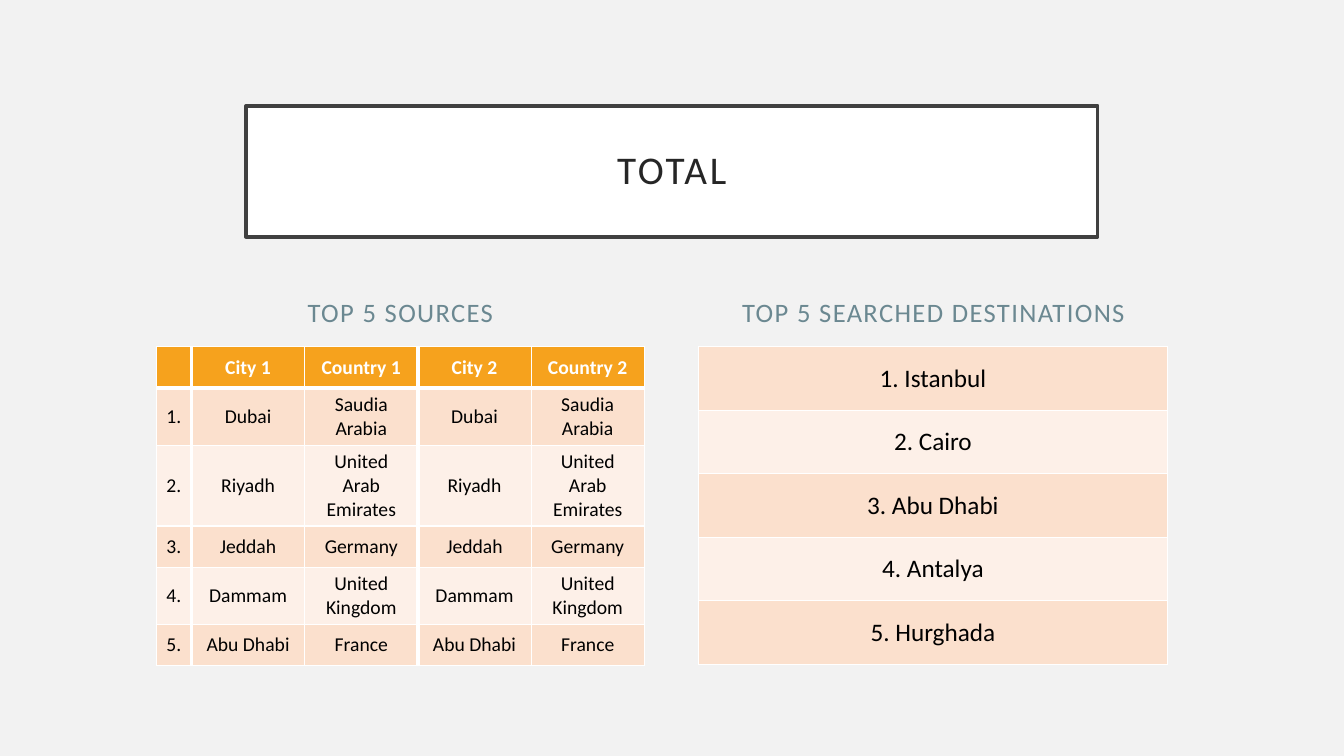
"""Build a slide that ranks the top five sources and searched destinations."""
from lxml.etree import SubElement
from pptx import Presentation
from pptx.dml.color import RGBColor
from pptx.enum.shapes import MSO_SHAPE as Shape
from pptx.enum.text import MSO_ANCHOR as Anchor, PP_ALIGN as Align
from pptx.oxml.ns import qn
from pptx.util import Inches, Pt

COLORS = {
    "background": "F2F2F2", "white": "FFFFFF", "frame": "404040", "title": "262626",
    "heading": "6B8891", "header": "F6A21D", "dark_band": "FBE0CD",
    "light_band": "FDF0E8", "body": "000000",
}
FONT = "Calibri"
SLIDE_WIDTH, SLIDE_HEIGHT = Inches(13.33), Inches(7.5)
GRID_COLUMNS, GRID_ROWS = 40, 30
HEADING_TOP, HEADING_WIDTH, HEADING_HEIGHT = 10.12, 14, 3.08
TABLE_TOP, TABLE_HEIGHT = 13.76, 12.6
RIGHT_SIDE = 20.79
THIN, THICK = 1, 3

CITIES = ["Dubai", "Riyadh", "Jeddah", "Dammam", "Abu Dhabi"]
COUNTRIES = ["Saudia Arabia", "United Arab Emirates", "Germany", "United Kingdom", "France"]
DESTINATIONS = ["Istanbul", "Cairo", "Abu Dhabi", "Antalya", "Hurghada"]


def color(name):
    """Return the named colour."""
    return RGBColor.from_string(COLORS[name])


def across(columns):
    """Turn grid columns into a length."""
    return round(SLIDE_WIDTH * columns / GRID_COLUMNS)


def down(rows):
    """Turn grid rows into a length."""
    return round(SLIDE_HEIGHT * rows / GRID_ROWS)


def grid_box(left, top, width, height):
    """Turn a box in grid units into lengths."""
    return across(left), down(top), across(width), down(height)


def write(text_frame, text, size, color_name, bold=False, spacing=0):
    """Write one centred paragraph and return it."""
    paragraph = text_frame.paragraphs[0]
    paragraph.alignment = Align.CENTER
    font = paragraph.font
    font.name, font.size, font.bold = FONT, Pt(size), bold
    font.color.rgb = color(color_name)
    if text:
        run = paragraph.add_run()
        run.text = text
        if spacing:
            run._r.get_or_add_rPr().set("spc", str(spacing * 100))
    return paragraph


def add_title(slide, text):
    """Add the framed title."""
    shape = slide.shapes.add_shape(Shape.RECTANGLE, *grid_box(7.32, 4.2, 25.35, 5.2))
    shape.shadow.inherit = False
    shape.fill.solid()
    shape.fill.fore_color.rgb = color("white")
    shape.line.color.rgb = color("frame")
    shape.line.width = Pt(2.5)
    frame = shape.text_frame
    frame.word_wrap = True
    frame.vertical_anchor = Anchor.MIDDLE
    frame.margin_left = frame.margin_right = Inches(0.2)
    frame.margin_top = frame.margin_bottom = Inches(0.2)
    write(frame, text, 28, "title", spacing=2).line_spacing = 0.9


def add_heading(slide, left, text):
    """Add a heading above a table."""
    box = grid_box(left, HEADING_TOP, HEADING_WIDTH, HEADING_HEIGHT)
    frame = slide.shapes.add_textbox(*box).text_frame
    frame.word_wrap = True
    frame.vertical_anchor = Anchor.BOTTOM
    write(frame, text, 19, "heading", spacing=1).space_before = Pt(10)


def set_borders(cell, left, right, top, bottom):
    """Draw white cell borders of the given widths in points."""
    properties = cell._tc.get_or_add_tcPr()
    for side, width in zip("LRTB", (left, right, top, bottom)):
        line = SubElement(properties, qn(f"a:ln{side}"), w=str(Pt(width)))
        fill = SubElement(line, qn("a:solidFill"))
        SubElement(fill, qn("a:srgbClr"), val=COLORS["white"])


def add_table(slide, left, column_widths, row_height, rows, size, has_header=False):
    """Add a banded table, with thick rules around its header and city columns."""
    box = grid_box(left, TABLE_TOP, sum(column_widths), TABLE_HEIGHT)
    graphic = slide.shapes.add_table(len(rows), len(column_widths), *box)
    table = graphic.table
    table.first_row = has_header
    table.horz_banding = False
    for column, width in zip(table.columns, column_widths):
        column.width = across(width)
    last_column = len(column_widths) - 1
    for row_index, values in enumerate(rows):
        table.rows[row_index].height = down(row_height)
        is_header = has_header and row_index == 0
        band = "dark_band" if (row_index - has_header) % 2 == 0 else "light_band"
        for column_index, value in enumerate(values):
            cell = table.cell(row_index, column_index)
            is_odd = column_index % 2 == 1
            set_borders(
                cell,
                left=THICK if is_odd else THIN,
                right=THIN if is_odd or column_index == last_column else THICK,
                top=THICK if has_header and row_index == 1 else THIN,
                bottom=THICK if is_header else THIN,
            )
            cell.fill.solid()
            cell.fill.fore_color.rgb = color("header" if is_header else band)
            cell.vertical_anchor = Anchor.MIDDLE
            write(cell.text_frame, value, size, "white" if is_header else "body", bold=is_header)
    graphic.height = down(TABLE_HEIGHT)


def main():
    """Build and save the slide."""
    presentation = Presentation()
    presentation.slide_width, presentation.slide_height = SLIDE_WIDTH, SLIDE_HEIGHT
    slide = presentation.slides.add_slide(presentation.slide_layouts[6])
    slide.background.fill.solid()
    slide.background.fill.fore_color.rgb = color("background")

    sources = [["", "City 1", "Country 1", "City 2", "Country 2"]]
    for rank, (city, country) in enumerate(zip(CITIES, COUNTRIES), 1):
        sources.append([f"{rank}.", city, country, city, country])
    destinations = [[f"{rank}. {city}"] for rank, city in enumerate(DESTINATIONS, 1)]

    add_heading(slide, 4.92, "TOP 5 SOURCES")
    add_table(slide, 4.65, [1.05] + [3.37] * 4, 1.64, sources, 14, has_header=True)
    add_table(slide, RIGHT_SIDE, [13.95], TABLE_HEIGHT / 5, destinations, 18)
    add_heading(slide, RIGHT_SIDE, "TOP 5 SEARCHED DESTINATIONS")
    add_title(slide, "TOTAL")
    presentation.save("out.pptx")


if __name__ == "__main__":
    main()
